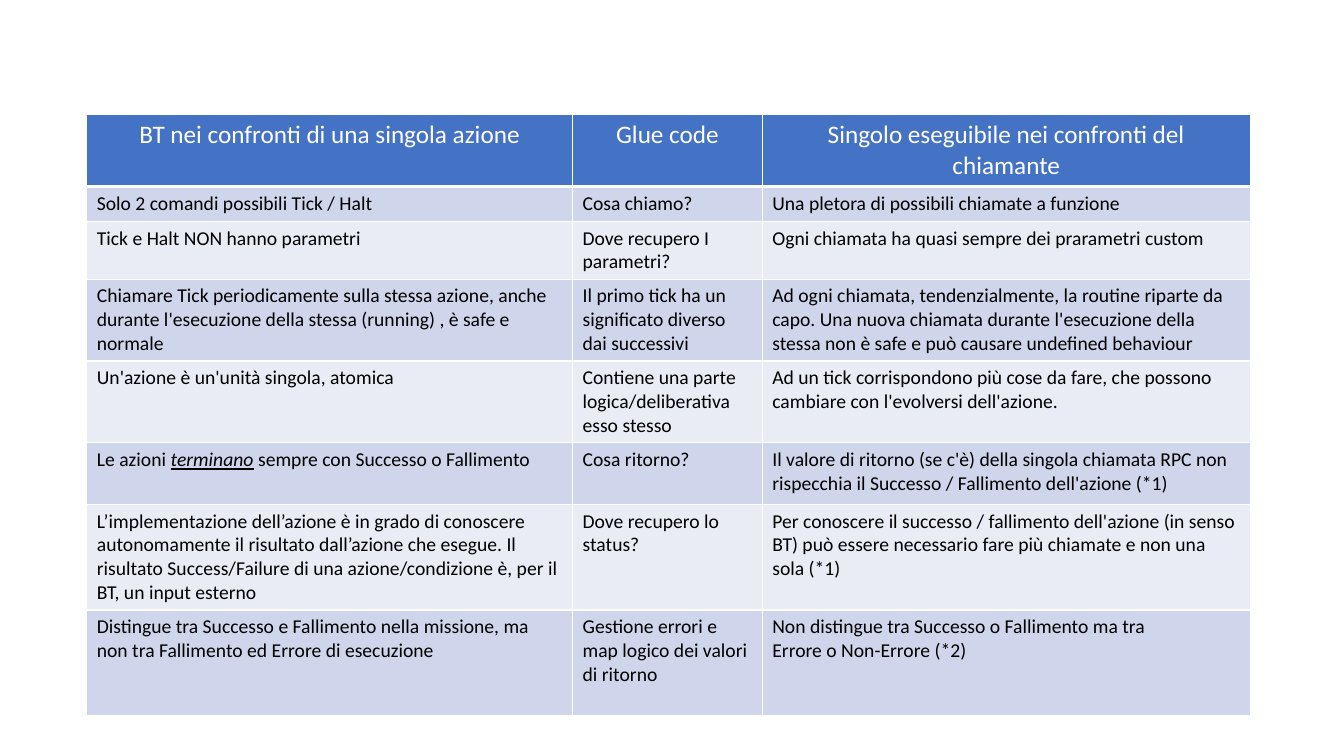
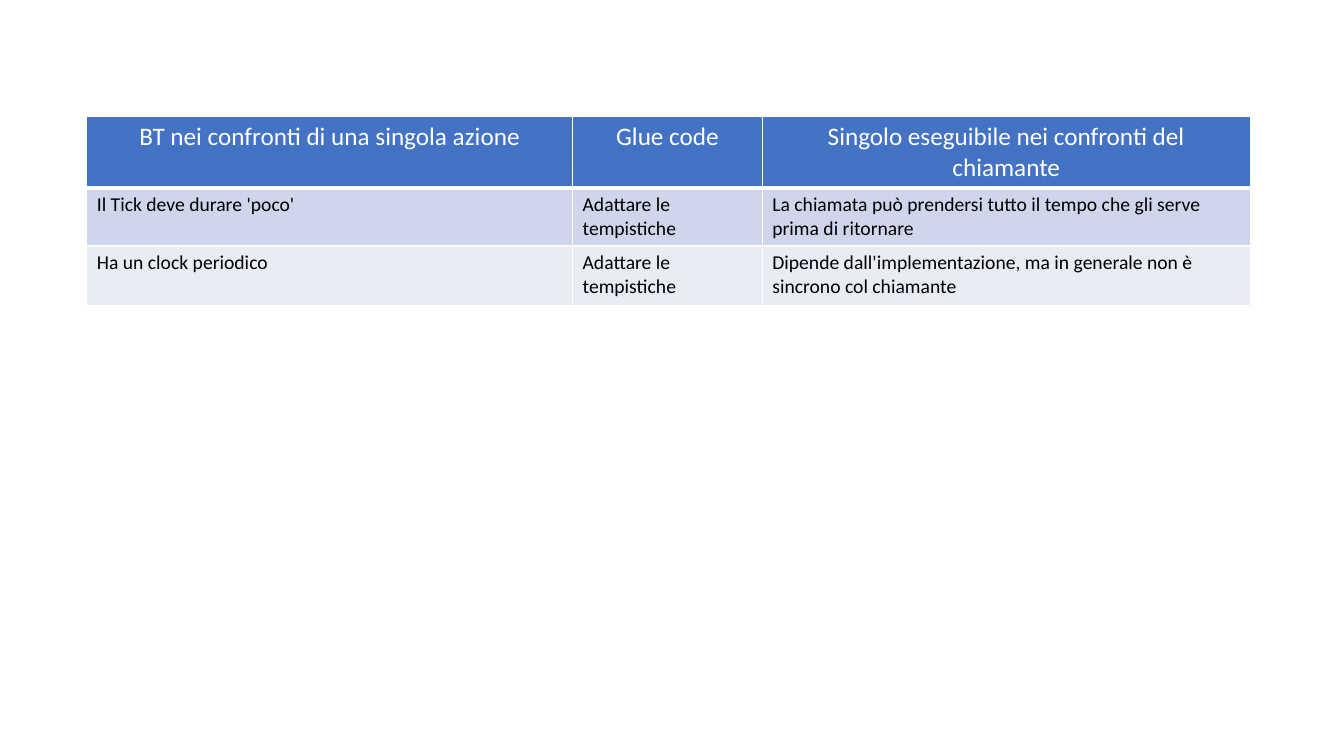
from lxml import etree
from pptx import Presentation
from pptx.dml.color import RGBColor
from pptx.enum.text import PP_ALIGN
from pptx.oxml.ns import qn
from pptx.util import Pt

CENTER, LEFT = PP_ALIGN.CENTER, PP_ALIGN.LEFT

# Shared style
FONT = "Calibri"
WHITE, BLACK = "FFFFFF", "000000"
HEADER_BLUE = "4472C4"
BANDS = ("CFD5EA", "E9EBF5")
HEADER_SIZE, BODY_SIZE = 18, 14
COLUMN_WIDTHS = (347, 135.5, 348.5)
TABLE_LEFT = 62

HEADINGS = (
    "BT nei confronti di una singola azione",
    "Glue code",
    "Singolo eseguibile nei confronti del chiamante",
)
HEADING_HEIGHT = 51

# Each row: height, then one text per column; _word_ marks emphasis
RESPONSIBILITIES = (
    (25, "Solo 2 comandi possibili Tick / Halt",
     "Cosa chiamo?",
     "Una pletora di possibili chiamate a funzione"),
    (40.5, "Tick e Halt NON hanno parametri",
     "Dove recupero I parametri?",
     "Ogni chiamata ha quasi sempre dei prarametri custom"),
    (58.5, "Chiamare Tick periodicamente sulla stessa azione, anche durante "
     "l'esecuzione della stessa (running) , è safe e normale",
     "Il primo tick ha un significato diverso dai successivi",
     "Ad ogni chiamata, tendenzialmente, la routine riparte da capo. Una nuova "
     "chiamata durante l'esecuzione della stessa non è safe e può causare "
     "undefined behaviour"),
    (57, "Un'azione è un'unità singola, atomica",
     "Contiene una parte logica/deliberativa esso stesso",
     "Ad un tick corrispondono più cose da fare, che possono cambiare con "
     "l'evolversi dell'azione."),
    (44, "Le azioni _terminano_ sempre con Successo o Fallimento",
     "Cosa ritorno?",
     "Il valore di ritorno (se c'è) della singola chiamata RPC non rispecchia "
     "il Successo / Fallimento dell'azione (*1)"),
    (75.5, "L’implementazione dell’azione è in grado di conoscere autonomamente "
     "il risultato dall’azione che esegue. Il risultato Success/Failure di una "
     "azione/condizione è, per il BT, un input esterno",
     "Dove recupero lo status?",
     "Per conoscere il successo / fallimento dell'azione (in senso BT) può "
     "essere necessario fare più chiamate e non una sola (*1)"),
    (75.5, "Distingue tra Successo e Fallimento nella missione, ma non tra "
     "Fallimento ed Errore di esecuzione",
     "Gestione errori e map logico dei valori di ritorno",
     "Non distingue tra Successo o Fallimento ma tra\n"
     "Errore o Non-Errore (*2)"),
)
TIMING = (
    (41.5, "Il Tick deve durare 'poco'",
     "Adattare le tempistiche",
     "La chiamata può prendersi tutto il tempo che gli serve prima di ritornare"),
    (43, "Ha un clock periodico",
     "Adattare le tempistiche",
     "Dipende dall'implementazione, ma in generale non è sincrono col chiamante"),
)


def color(hex_code):
    return RGBColor.from_string(hex_code)


def set_borders(cell, bottom):
    """White cell borders, 1 pt apart from the bottom one."""
    properties = cell._tc.get_or_add_tcPr()
    for side, width in (("L", 1), ("R", 1), ("T", 1), ("B", bottom)):
        line = etree.SubElement(properties, qn(f"a:ln{side}"), w=str(Pt(width)))
        fill = etree.SubElement(line, qn("a:solidFill"))
        etree.SubElement(fill, qn("a:srgbClr"), val=WHITE)


def write_cell(cell, text, fill, text_color, size, align, bottom=1):
    set_borders(cell, bottom)
    cell.fill.solid()
    cell.fill.fore_color.rgb = color(fill)
    cell.text_frame.text = text
    for paragraph in cell.text_frame.paragraphs:
        paragraph.alignment = align
        pieces = paragraph.text.split("_")
        paragraph.text = pieces[0]
        for piece in pieces[1:]:
            paragraph.add_run().text = piece
        for index, run in enumerate(paragraph.runs):
            run.font.name = FONT
            run.font.size = Pt(size)
            run.font.bold = False
            run.font.color.rgb = color(text_color)
            if index % 2:
                run.font.italic = run.font.underline = True


def add_comparison_slide(deck, top, rows):
    slide = deck.slides.add_slide(deck.slide_layouts[6])
    heights = [HEADING_HEIGHT] + [row[0] for row in rows]
    comparison = slide.shapes.add_table(
        len(heights), len(COLUMN_WIDTHS), Pt(TABLE_LEFT), Pt(top),
        Pt(sum(COLUMN_WIDTHS)), Pt(sum(heights))).table
    for column, width in zip(comparison.columns, COLUMN_WIDTHS):
        column.width = Pt(width)
    for table_row, height in zip(comparison.rows, heights):
        table_row.height = Pt(height)

    # Heading row
    for index, heading in enumerate(HEADINGS):
        write_cell(comparison.cell(0, index), heading, HEADER_BLUE, WHITE,
                   HEADER_SIZE, CENTER, bottom=3)

    # Banded body rows
    for row_index, (_, *texts) in enumerate(rows):
        for index, text in enumerate(texts):
            write_cell(comparison.cell(row_index + 1, index), text,
                       BANDS[row_index % 2], BLACK, BODY_SIZE, LEFT)


def main():
    deck = Presentation()
    deck.slide_width, deck.slide_height = Pt(960), Pt(540)
    add_comparison_slide(deck, 82, RESPONSIBILITIES)
    add_comparison_slide(deck, 83, TIMING)
    deck.save("out.pptx")


if __name__ == "__main__":
    main()
